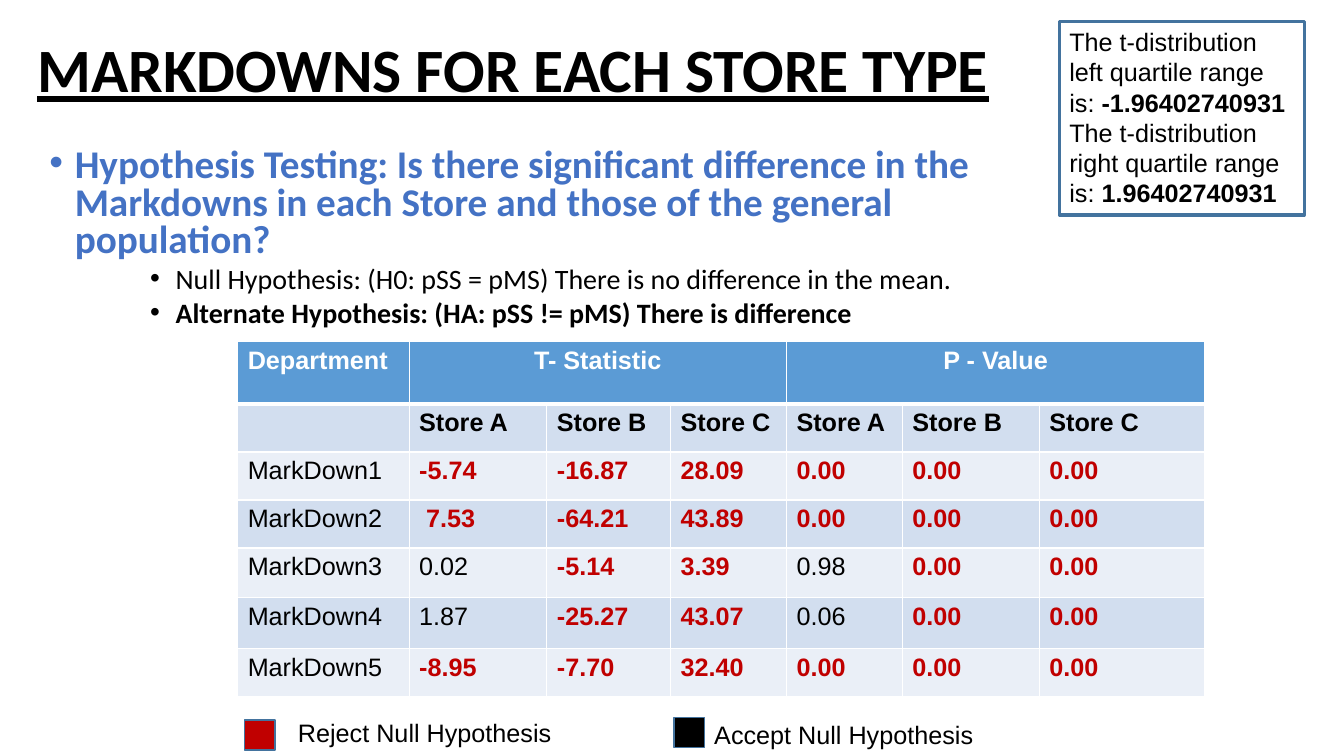
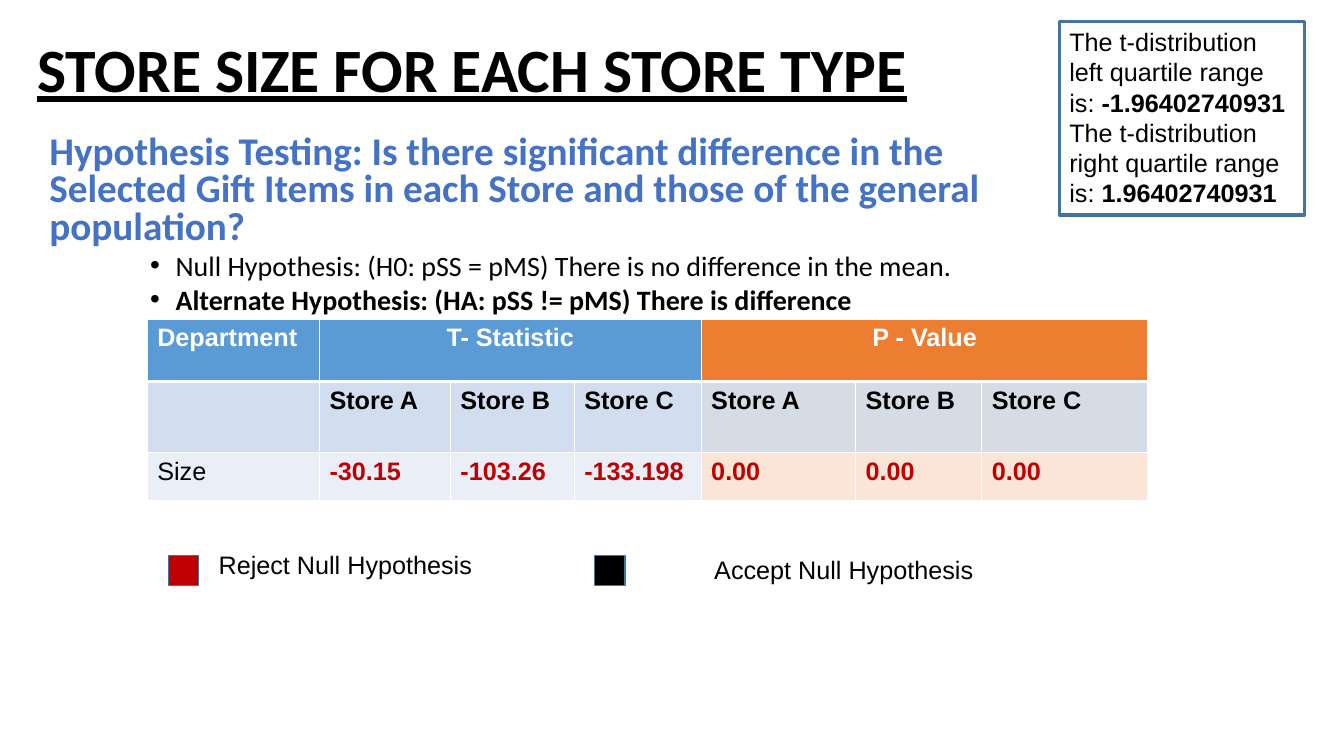
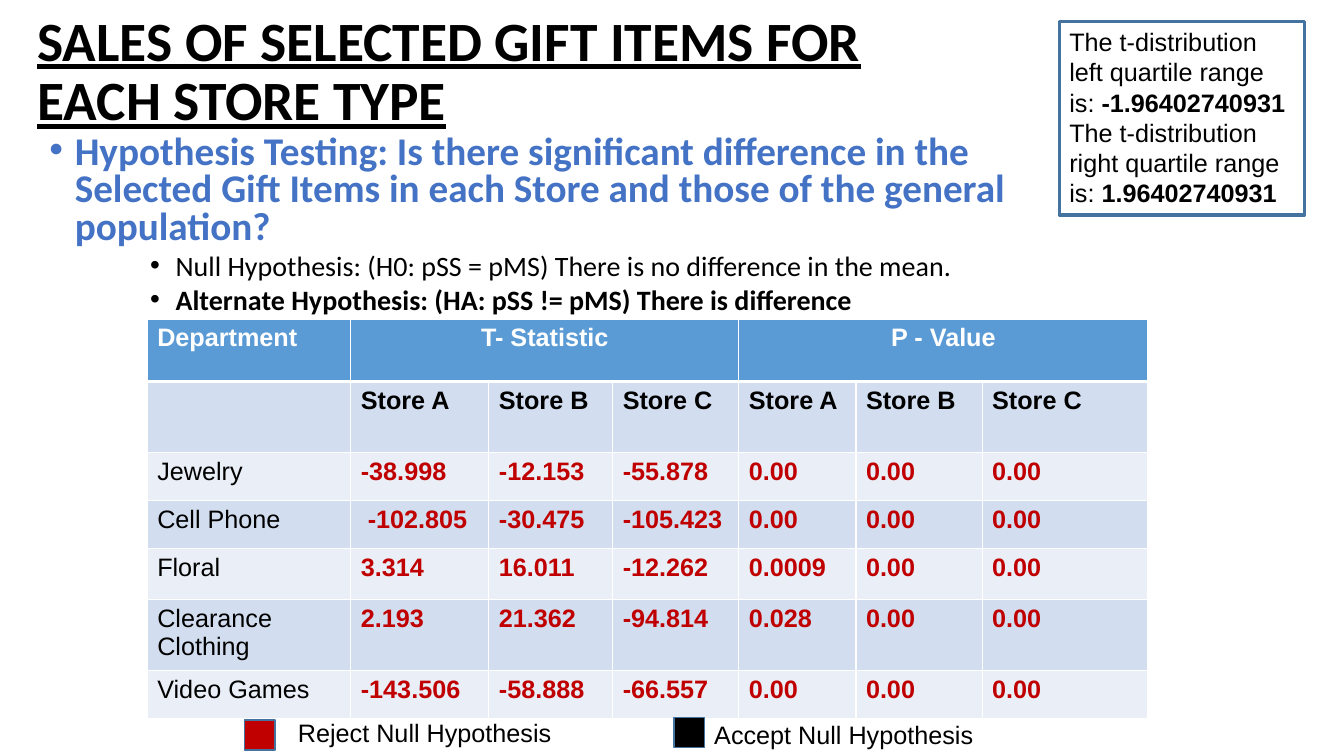
from dataclasses import dataclass
from typing import Any, NamedTuple

from lxml.etree import SubElement
from pptx import Presentation
from pptx.dml.color import RGBColor
from pptx.enum.shapes import MSO_SHAPE as Preset
from pptx.enum.text import MSO_ANCHOR as Anchor
from pptx.enum.text import MSO_AUTO_SIZE as AutoSize
from pptx.enum.text import PP_ALIGN as Align
from pptx.oxml.ns import qn
from pptx.util import Cm, Pt

BLACK = RGBColor(0x00, 0x00, 0x00)
WHITE = RGBColor(0xFF, 0xFF, 0xFF)
RED = RGBColor(0xC0, 0x00, 0x00)
QUESTION_BLUE = RGBColor(0x44, 0x72, 0xC4)
OUTLINE_BLUE = RGBColor(0x43, 0x73, 0x9E)

TITLE_FONT = {"name": "Calibri", "bold": True, "underline": True}
QUESTION_FONT = {"name": "Calibri", "size": Pt(28), "bold": True}
HYPOTHESIS_FONT = {"name": "Calibri", "size": Pt(20)}
PLAIN_FONT = {"name": "Arial", "size": Pt(18), "bold": False}
BOLD_FONT = PLAIN_FONT | {"bold": True}

SIGNIFICANCE = 0.05
STORES = ("Store A", "Store B", "Store C")
HYPOTHESES = (
    ("Null Hypothesis: (H0: pSS = pMS) There is no difference in the mean.", False),
    ("Alternate Hypothesis: (HA: pSS != pMS) There is difference", True),
)
QUARTILES = (("left", "-1.96402740931"), ("right", "1.96402740931"))


class Box(NamedTuple):
    """Left, top, width and height in centimetres."""
    left: float
    top: float
    width: float
    height: float

    def emu(self) -> tuple[Cm, ...]:
        return tuple(Cm(side) for side in self)


class Palette(NamedTuple):
    header: RGBColor
    dark_band: RGBColor
    light_band: RGBColor


BLUE_PALETTE = Palette(RGBColor(0x5B, 0x9B, 0xD5), RGBColor(0xD2, 0xDE, 0xEF),
                       RGBColor(0xEA, 0xEF, 0xF7))
ORANGE_PALETTE = Palette(RGBColor(0xED, 0x7D, 0x31), RGBColor(0xD6, 0xDC, 0xE5),
                         RGBColor(0xFB, 0xE5, 0xD6))


class Department(NamedTuple):
    name: str
    t_statistics: tuple[str, str, str]
    p_values: tuple[str, str, str] = ("0.00", "0.00", "0.00")


class LegendEntry(NamedTuple):
    label: str
    color: RGBColor
    swatch_at: tuple[float, float]
    label_at: tuple[float, float]


@dataclass(frozen=True)
class TestSlide:
    title: str
    subject: str
    departments: tuple[Department, ...]
    table_at: tuple[float, float]
    column_widths: tuple[float, ...]
    row_heights: tuple[float, ...]
    legend: tuple[LegendEntry, ...]
    title_width: float = 24.08
    title_size: float = 44
    body_top: float = 3.28
    question_bullet: bool = True
    p_palette: Palette = BLUE_PALETTE


def legend(reject_swatch: tuple[float, float], reject_label: tuple[float, float],
           accept_swatch: tuple[float, float],
           accept_label: tuple[float, float]) -> tuple[LegendEntry, ...]:
    return (
        LegendEntry("Reject Null Hypothesis", RED, reject_swatch, reject_label),
        LegendEntry("Accept Null Hypothesis", BLACK, accept_swatch, accept_label),
    )


BOTTOM_LEGEND = legend((6.17, 18.14), (7.26, 17.96), (16.99, 18.08), (17.75, 17.99))

TEST_SLIDES = (
    TestSlide(
        title="MARKDOWNS FOR EACH STORE TYPE",
        subject="Markdowns",
        departments=(
            Department("MarkDown1", ("-5.74", "-16.87", "28.09")),
            Department("MarkDown2", (" 7.53", "-64.21", "43.89")),
            Department("MarkDown3", ("0.02", "-5.14", "3.39"), ("0.98", "0.00", "0.00")),
            Department("MarkDown4", ("1.87", "-25.27", "43.07"), ("0.06", "0.00", "0.00")),
            Department("MarkDown5", ("-8.95", "-7.70", "32.40")),
        ),
        table_at=(5.99, 8.61),
        column_widths=(4.32, 3.47, 3.12, 2.92, 2.92, 3.45, 4.17),
        row_heights=(1.57, 1.21, 1.21, 1.21, 1.25, 1.28, 1.21),
        legend=BOTTOM_LEGEND,
        title_width=29.21,
        body_top=3.61,
    ),
    TestSlide(
        title="STORE SIZE FOR EACH STORE TYPE",
        subject="Selected Gift Items",
        departments=(Department("Size", ("-30.15", "-103.26", "-133.198")),),
        table_at=(3.71, 8.04),
        column_widths=(4.34, 3.3, 3.12, 3.2, 3.89, 3.18, 4.19),
        row_heights=(1.57, 1.8, 1.21),
        legend=legend((4.24, 14), (5.26, 13.72), (14.99, 14), (17.75, 13.84)),
        question_bullet=False,
        p_palette=ORANGE_PALETTE,
    ),
    TestSlide(
        title="SALES OF SELECTED GIFT ITEMS FOR EACH STORE TYPE",
        subject="Selected Gift Items",
        departments=(
            Department("Jewelry", ("-38.998", "-12.153", "-55.878")),
            Department("Cell Phone", (" -102.805", "-30.475", "-105.423")),
            Department("Floral", ("3.314", "16.011", "-12.262"), ("0.0009", "0.00", "0.00")),
            Department("Clearance Clothing", ("2.193", "21.362", "-94.814"),
                       ("0.028", "0.00", "0.00")),
            Department("Video Games", ("-143.506", "-58.888", "-66.557")),
        ),
        table_at=(3.71, 8.04),
        column_widths=(5.13, 3.48, 3.12, 3.18, 2.95, 3.18, 4.18),
        row_heights=(1.57, 1.8, 1.21, 1.21, 1.27, 1.8, 1.21),
        legend=BOTTOM_LEGEND,
        title_size=39.6,
    ),
)


def set_attributes(target: Any, values: dict[str, Any]) -> None:
    for name, value in values.items():
        setattr(target, name, value)


def add_run(paragraph: Any, text: str, font: dict[str, Any], color: RGBColor) -> None:
    run = paragraph.add_run()
    run.text = text
    set_attributes(run.font, font)
    run.font.color.rgb = color


def place(shape: Any, box: Box) -> None:
    set_attributes(shape, dict(zip(("left", "top", "width", "height"), box.emu())))


def set_bullet(paragraph: Any, margin: float, bullet: bool = True) -> None:
    """Indent the paragraph by margin centimetres and hang its bullet, if any."""
    properties = paragraph._p.get_or_add_pPr()
    properties.set("marL", str(Cm(margin)))
    properties.set("indent", str(Cm(-0.64) if bullet else 0))
    if bullet:
        SubElement(properties, qn("a:buFont"), typeface="Arial")
        SubElement(properties, qn("a:buChar"), char="•")
    else:
        SubElement(properties, qn("a:buNone"))


def fill_title(slide: Any, test: TestSlide) -> None:
    title = slide.shapes.title
    place(title, Box(0.69, 0, test.title_width, 3.68))
    set_attributes(title.text_frame, {"auto_size": AutoSize.NONE, "word_wrap": True,
                                      "vertical_anchor": Anchor.MIDDLE})
    paragraph = title.text_frame.paragraphs[0]
    set_attributes(paragraph, {"alignment": Align.LEFT, "line_spacing": 0.9})
    add_run(paragraph, test.title, TITLE_FONT | {"size": Pt(test.title_size)}, BLACK)


def fill_body(slide: Any, test: TestSlide) -> None:
    body = slide.placeholders[1]
    place(body, Box(0.99, test.body_top, 24.84, 13.23))
    frame = body.text_frame
    set_attributes(frame, {"auto_size": AutoSize.NONE, "word_wrap": True,
                           "vertical_anchor": Anchor.TOP})
    question = frame.paragraphs[0]
    set_attributes(question, {"line_spacing": 0.8, "space_before": Pt(10)})
    set_bullet(question, 0.64 if test.question_bullet else 0, test.question_bullet)
    add_run(question, f"Hypothesis Testing: Is there significant difference in the "
            f"{test.subject} in each Store and those of the general population?",
            QUESTION_FONT, QUESTION_BLUE)
    for text, bold in HYPOTHESES:
        hypothesis = frame.add_paragraph()
        set_attributes(hypothesis, {"level": 2, "line_spacing": 0.8, "space_before": Pt(5)})
        set_bullet(hypothesis, 3.18)
        add_run(hypothesis, text, HYPOTHESIS_FONT | {"bold": bold}, BLACK)


def add_rectangle(slide: Any, box: Box, line_width: float,
                  color: RGBColor | None = None) -> Any:
    rectangle = slide.shapes.add_shape(Preset.RECTANGLE, *box.emu())
    rectangle.shadow.inherit = False
    rectangle.line.color.rgb = OUTLINE_BLUE
    rectangle.line.width = Pt(line_width)
    if color is None:
        rectangle.fill.background()
    else:
        rectangle.fill.solid()
        rectangle.fill.fore_color.rgb = color
    return rectangle


def add_quartile_box(slide: Any) -> None:
    frame = add_rectangle(slide, Box(26.7, 0.54, 6.17, 4.88), 2.25).text_frame
    set_attributes(frame, {"word_wrap": True, "auto_size": AutoSize.SHAPE_TO_FIT_TEXT,
                           "vertical_anchor": Anchor.TOP})
    for index, (side, limit) in enumerate(QUARTILES):
        paragraph = frame.add_paragraph() if index else frame.paragraphs[0]
        paragraph.alignment = Align.LEFT
        add_run(paragraph, f"The t-distribution {side} quartile range is: ",
                PLAIN_FONT, BLACK)
        add_run(paragraph, limit, BOLD_FONT, BLACK)


def set_borders(cell: Any, row: int) -> None:
    """White cell borders, with a thick line under the header row."""
    widths = {"L": 1, "R": 1, "T": 3 if row == 1 else 1, "B": 3 if row == 0 else 1}
    properties = cell._tc.get_or_add_tcPr()
    for side, width in widths.items():
        line = SubElement(properties, qn(f"a:ln{side}"), w=str(Pt(width)))
        fill = SubElement(line, qn("a:solidFill"))
        SubElement(fill, qn("a:srgbClr"), val=str(WHITE))


def write_cell(cell: Any, text: str, font: dict[str, Any], color: RGBColor,
               alignment: Align = Align.LEFT) -> None:
    paragraph = cell.text_frame.paragraphs[0]
    paragraph.alignment = alignment
    add_run(paragraph, text, font, color)


def add_results_table(slide: Any, test: TestSlide) -> None:
    widths, heights = test.column_widths, test.row_heights
    box = Box(*test.table_at, sum(widths), sum(heights))
    table = slide.shapes.add_table(len(heights), len(widths), *box.emu()).table
    set_attributes(table, {"first_row": False, "horz_banding": False})
    for column, width in zip(table.columns, widths):
        column.width = Cm(width)
    for row, height in zip(table.rows, heights):
        row.height = Cm(height)

    first_p_column = 1 + len(STORES)
    for row in range(len(heights)):
        for column in range(len(widths)):
            cell = table.cell(row, column)
            palette = test.p_palette if column >= first_p_column else BLUE_PALETTE
            bands = (palette.light_band, palette.dark_band)
            set_borders(cell, row)
            cell.fill.solid()
            cell.fill.fore_color.rgb = bands[row % 2] if row else palette.header

    write_cell(table.cell(0, 0), "Department", BOLD_FONT, WHITE)
    for start, measure in ((1, "T- Statistic"), (first_p_column, "P - Value")):
        header = table.cell(0, start)
        header.merge(table.cell(0, start + len(STORES) - 1))
        write_cell(header, measure, BOLD_FONT, WHITE, Align.CENTER)
        for offset, store in enumerate(STORES):
            write_cell(table.cell(1, start + offset), store, BOLD_FONT, BLACK)

    for row, department in enumerate(test.departments, start=2):
        write_cell(table.cell(row, 0), department.name, PLAIN_FONT, BLACK)
        results = zip(department.t_statistics, department.p_values)
        for column, (t_statistic, p_value) in enumerate(results, start=1):
            rejected = float(p_value) < SIGNIFICANCE
            font, color = (BOLD_FONT, RED) if rejected else (PLAIN_FONT, BLACK)
            write_cell(table.cell(row, column), t_statistic, font, color)
            write_cell(table.cell(row, column + len(STORES)), p_value, font, color)


def add_legend(slide: Any, entries: tuple[LegendEntry, ...]) -> None:
    for entry in entries:
        label = slide.shapes.add_textbox(*Box(*entry.label_at, 7.04, 1.02).emu())
        set_attributes(label.text_frame, {"word_wrap": False,
                                          "auto_size": AutoSize.SHAPE_TO_FIT_TEXT})
        add_run(label.text_frame.paragraphs[0], entry.label, PLAIN_FONT, BLACK)
        add_rectangle(slide, Box(*entry.swatch_at, 0.76, 0.76), 1, entry.color)


def main() -> None:
    deck = Presentation()
    set_attributes(deck, {"slide_width": Cm(33.87), "slide_height": Cm(19.05)})
    for test in TEST_SLIDES:
        slide = deck.slides.add_slide(deck.slide_layouts[1])
        fill_title(slide, test)
        fill_body(slide, test)
        add_quartile_box(slide)
        add_results_table(slide, test)
        add_legend(slide, test.legend)
    deck.save("out.pptx")


if __name__ == "__main__":
    main()
